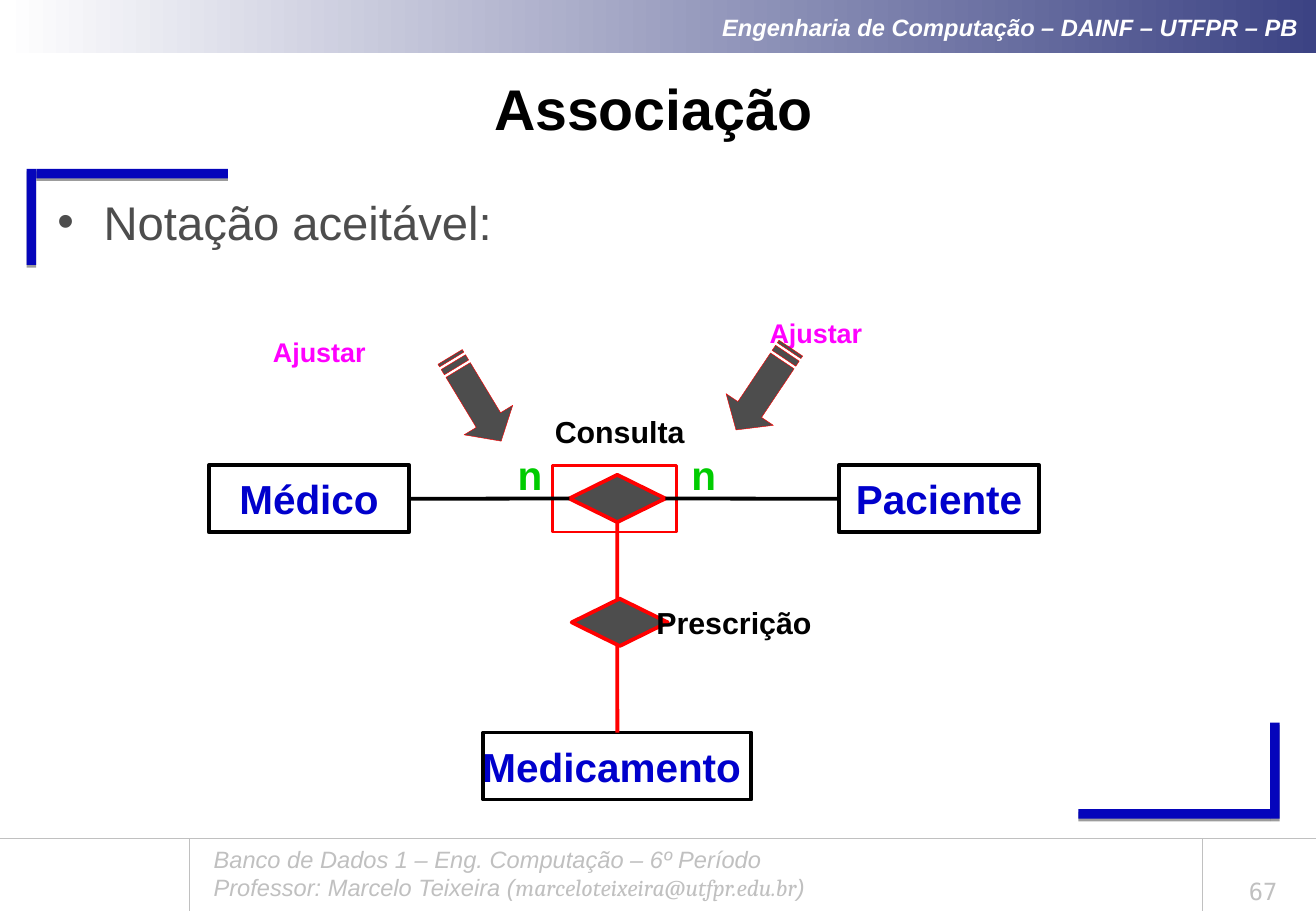
from dataclasses import dataclass

from lxml.etree import SubElement
from pptx import Presentation
from pptx.dml.color import RGBColor
from pptx.enum.shapes import MSO_CONNECTOR as Line, MSO_SHAPE as Preset
from pptx.enum.text import MSO_ANCHOR as Anchor, PP_ALIGN as Align
from pptx.oxml import parse_xml
from pptx.oxml.ns import qn
from pptx.util import Cm, Pt


@dataclass(frozen=True)
class Theme:
    font: str = "Arial"
    email_font: str = "Cambria"
    page_font: str = "DejaVu Sans Mono"
    white: str = "FFFFFF"
    black: str = "000000"
    navy: str = "3C4384"
    bracket: str = "0505BB"
    silver: str = "C0C0C0"
    gray: str = "4D4D4D"
    red: str = "FF0000"
    entity: str = "0000CC"
    green: str = "00CC00"
    magenta: str = "FF00FF"
    title_size: int = 34
    body_size: int = 28
    entity_size: int = 24
    relation_size: int = 18
    hint_size: int = 16
    small_size: int = 14


T = Theme()

# Content; boxes are left, top, width, height in centimetres
HEADER = "Engenharia de Computação – DAINF – UTFPR – PB "
TITLE = "Associação"
BODY = "Notação aceitável:"
PAGE = "67"
FOOTER = [
    [("Banco de Dados 1 – Eng. Computação – 6º Período", T.font)],
    [("Professor: Marcelo Teixeira (", T.font),
     ("marceloteixeira@utfpr.edu.br", T.email_font), (")", T.font)],
]
ENTITIES = {
    "Paciente": (17.55, 9.73, 4.19, 1.4),
    "Médico": (4.37, 9.73, 4.19, 1.4),
    "Medicamento ": (10.11, 15.32, 5.61, 1.4),
}
RELATIONS = [("Consulta", (10.96, 8.53)), ("Prescrição", (13.35, 12.52))]
RELATION_LABEL = (4.01, 0.99)
CARDINALITIES = [("n", (13.41, 9.32)), ("n", (9.78, 9.32))]
HINTS = [("Ajustar", (16, 6.53)), ("Ajustar", (5.61, 6.92))]
HINT_ARROWS = [(14.94, 7.54, 123.8), (8.92, 7.75, 58.8)]
BRACKETS = [
    (22.56, 16.92, 4.01, 0.2), (26.57, 15.11, 0.2, 2.01),
    (0.76, 3.53, 4.01, 0.2), (0.56, 3.53, 0.2, 2.01),
]
FOOTER_TOP, SLIDE_W, SLIDE_H = 17.53, 27.53, 19.05
FOOTER_LINES = [
    ((3.96, FOOTER_TOP), (3.96, SLIDE_H), 0.75),
    ((25.15, FOOTER_TOP), (25.15, SLIDE_H), 0.75),
    ((0, FOOTER_TOP), (SLIDE_W, FOOTER_TOP), 0.25),
]
DIAMOND = (2.01, 0.99)
# Striped arrow on a 32 by 32 grid, pointing right
ARROW_SIZE = (2.06, 1.19)
ARROW_PARTS = [
    [(5, 8), (24, 8), (24, 0), (32, 16), (24, 32), (24, 24), (5, 24)],
    [(2, 8), (4, 8), (4, 24), (2, 24)],
    [(0, 8), (1, 8), (1, 24), (0, 24)],
]

deck = Presentation()
deck.slide_width, deck.slide_height = Cm(SLIDE_W), Cm(SLIDE_H)
slide = deck.slides.add_slide(deck.slide_layouts[6])
shapes = slide.shapes


def rgb(color):
    return RGBColor.from_string(color)


def paint(shape, fill=None, line=None, weight=2.25):
    shape.shadow.inherit = False
    if fill:
        shape.fill.solid()
        shape.fill.fore_color.rgb = rgb(fill)
    else:
        shape.fill.background()
    if line:
        shape.line.color.rgb = rgb(line)
        shape.line.width = Pt(weight)
    else:
        shape.line.fill.background()
    return shape


def add_preset(preset, box, **look):
    return paint(shapes.add_shape(preset, *map(Cm, box)), **look)


def write(target, text, size, color, font=T.font, bold=False, italic=False,
          align=Align.LEFT, anchor=Anchor.TOP, inset=(0.25, 0.13), wrap=True, bullet=False):
    """Fill a shape, or a new text box when target is a box; text is a string or lists of runs."""
    if isinstance(target, tuple):
        target = shapes.add_textbox(*map(Cm, target))
    frame = target.text_frame
    frame.word_wrap, frame.vertical_anchor = wrap, anchor
    frame.margin_left = frame.margin_right = Cm(inset[0])
    frame.margin_top = frame.margin_bottom = Cm(inset[1])
    lines = [[(text, font)]] if isinstance(text, str) else text
    for number, runs in enumerate(lines):
        paragraph = frame.add_paragraph() if number else frame.paragraphs[0]
        paragraph.alignment = align
        if bullet:
            layout = paragraph._p.get_or_add_pPr()
            layout.set("marL", str(Cm(0.97)))
            layout.set("indent", str(-Cm(0.97)))
            SubElement(layout, qn("a:buFont")).set("typeface", font)
            SubElement(layout, qn("a:buChar")).set("char", "•")
        for words, face in runs:
            run = paragraph.add_run()
            run.text = words
            run.font.name, run.font.size = face, Pt(size)
            run.font.bold, run.font.italic = bold, italic
            run.font.color.rgb = rgb(color)


def connect(color, weight, start=(0, 0), end=(0, 0), sides=None):
    """Draw a line between points, or between the (shape, side) pairs in sides."""
    line = shapes.add_connector(Line.STRAIGHT, *map(Cm, (*start, *end)))
    if sides:
        line.begin_connect(*sides[0])
        line.end_connect(*sides[1])
    line.line.color.rgb = rgb(color)
    line.line.width = Pt(weight)
    SubElement(line._element.spPr, qn("a:effectLst"))


def add_bracket_bar(box):
    bar = add_preset(Preset.RECTANGLE, box, fill=T.bracket)
    properties = bar._element.spPr
    properties.remove(properties.find(qn("a:effectLst")))
    properties.append(parse_xml(
        '<a:effectLst xmlns:a="http://schemas.openxmlformats.org/drawingml/2006/main">'
        f'<a:outerShdw dist="{Pt(1.6)}" dir="5400000" rotWithShape="0">'
        f'<a:srgbClr val="{T.black}"><a:alpha val="38000"/></a:srgbClr>'
        '</a:outerShdw></a:effectLst>'))


def add_hint_arrow(left, top, angle):
    scale = tuple(Cm(side) / 32 for side in ARROW_SIZE)
    builder = shapes.build_freeform(*ARROW_PARTS[0][0], scale=scale)
    for number, (first, *rest) in enumerate(ARROW_PARTS):
        if number:
            builder.move_to(*first)
        builder.add_line_segments(rest, close=True)
    arrow = paint(builder.convert_to_shape(Cm(left), Cm(top)), T.gray, T.red, 0.25)
    arrow.rotation = angle


# Page frame
header = add_preset(Preset.RECTANGLE, (0.05, 0, 27.5, 1.12))
header.fill.gradient()
header.fill.gradient_angle = 0
for stop, position, color in zip(header.fill.gradient_stops, (0, 1), (T.white, T.navy)):
    stop.position, stop.color.rgb = position, rgb(color)
write(header, HEADER, T.small_size, T.white, bold=True, italic=True,
      align=Align.RIGHT, anchor=Anchor.MIDDLE)
for box in BRACKETS:
    add_bracket_bar(box)
for start, end, weight in FOOTER_LINES:
    connect(T.silver, weight, start, end)
write((4.22, FOOTER_TOP, 19.15, 1.45), FOOTER, T.small_size, T.silver, italic=True)
write((25.32, 18.06, 2.21, 0.99), PAGE, T.small_size, T.silver, font=T.page_font,
      align=Align.CENTER, anchor=Anchor.BOTTOM)
write((0.56, 1.37, 26.21, 1.75), TITLE, T.title_size, T.black, bold=True,
      align=Align.CENTER, anchor=Anchor.MIDDLE)
write((0.95, 3.91, 25.4, 3.81), BODY, T.body_size, T.gray, bullet=True)

# Diagram
tight = dict(bold=True, inset=(0.1, 0.1))
centred = dict(tight, align=Align.CENTER, wrap=False)
entities = {}
for entity, box in ENTITIES.items():
    entities[entity] = add_preset(Preset.RECTANGLE, box, fill=T.white, line=T.black)
    write(entities[entity], entity, T.entity_size, T.entity, anchor=Anchor.MIDDLE, **centred)
patient, doctor, medicine = entities.values()

add_preset(Preset.RECTANGLE, (11.56, 9.73, 2.59, 1.4), line=T.red, weight=1.5)
diamond_look = dict(fill=T.gray, line=T.red)
consultation = add_preset(Preset.DIAMOND, (11.91, 9.93, *DIAMOND), **diamond_look)
connect(T.black, 2.25, sides=((doctor, 3), (consultation, 1)))
connect(T.black, 2.25, sides=((consultation, 3), (patient, 1)))
connect(T.red, 2.25, sides=((medicine, 0), (consultation, 2)))
add_preset(Preset.DIAMOND, (11.96, 12.52, *DIAMOND), **diamond_look)

for relation, place in RELATIONS:
    write((*place, *RELATION_LABEL), relation, T.relation_size, T.black,
          anchor=Anchor.MIDDLE, **centred)
for cardinality, place in CARDINALITIES:
    write((*place, 2.62, 1.22), cardinality, T.entity_size, T.green, **centred)
for hint, place in HINTS:
    write((*place, 4.04, 0.89), hint, T.hint_size, T.magenta, **tight)
for arrow in HINT_ARROWS:
    add_hint_arrow(*arrow)

deck.save("out.pptx")
